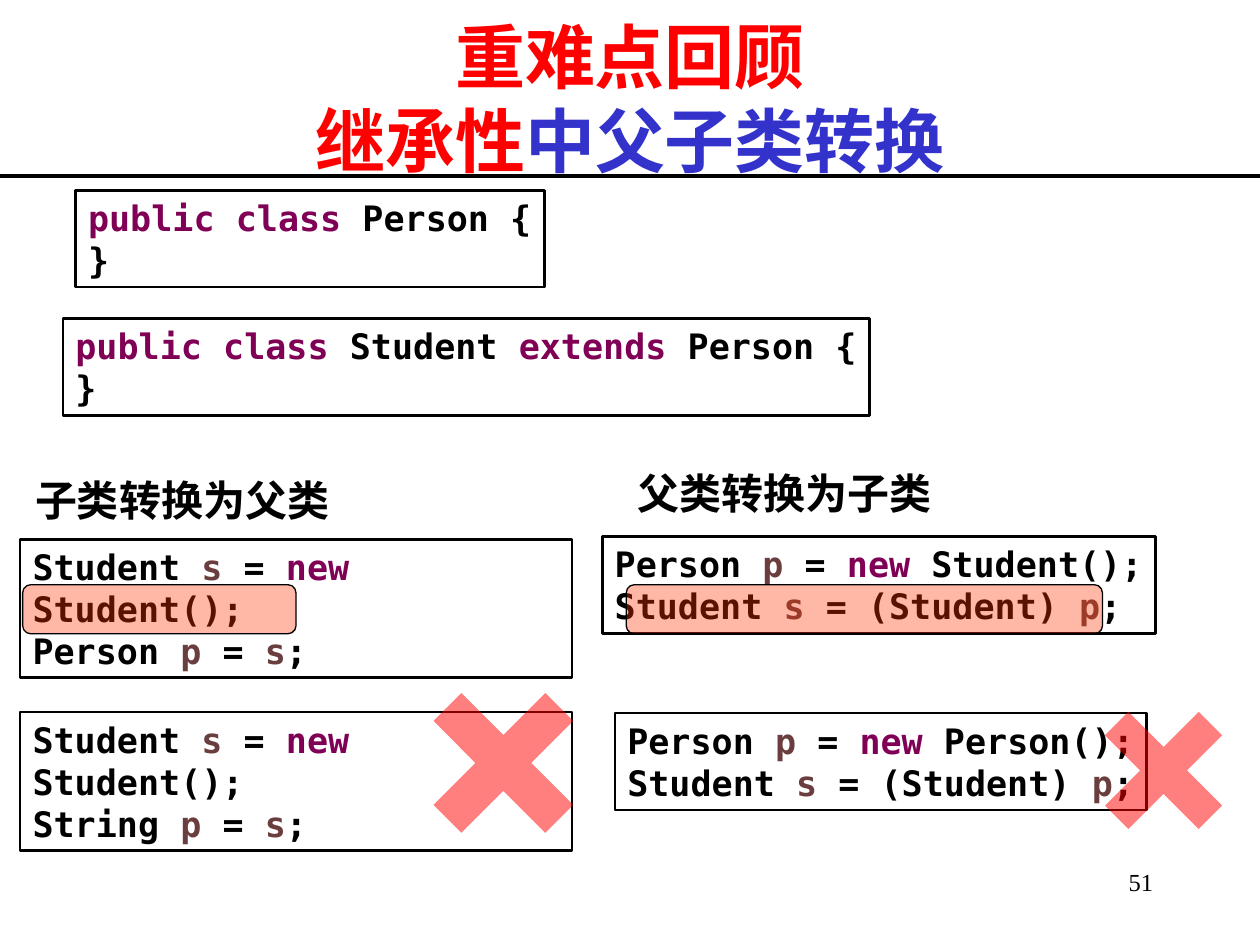
from itertools import groupby

from pptx import Presentation
from pptx import util as u
from pptx.dml.color import RGBColor
from pptx.enum import shapes, text
from pptx.oxml import xmlchemy as xml

COLORS = {
    "red": "FF0000", "blue": "3333CC", "black": "000000",
    "keyword": "7F0055", "variable": "6A3E3E", "mark": "FF3300",
}
TOKENS = {
    **dict.fromkeys(("public", "class", "extends", "new"), "keyword"),
    **dict.fromkeys(("p", "s"), "variable"),
}
SERIF, MONO = "Times New Roman", "DejaVu Sans Mono"


def color(name):
    """Return the named colour."""
    return RGBColor.from_string(COLORS[name])


def add_span(para, words, size=20, font=SERIF, bold=True, tint="black"):
    """Append formatted text to a paragraph."""
    span = para.add_run()
    span.text = words
    span.font.size = u.Pt(size)
    span.font.name = font
    span.font.bold = bold
    span.font.color.rgb = color(tint)


def fill_shape(shape, tint, alpha):
    """Give a shape a translucent fill and no shadow."""
    shape.shadow.inherit = False
    shape.fill.solid()
    shape.fill.fore_color.rgb = color(tint)
    choice = shape.fill._xPr.find(".//" + xml.qn("a:srgbClr"))
    choice.makeelement(xml.qn("a:alpha"), {})
    node = choice.makeelement(xml.qn("a:alpha"), {"val": str(alpha * 1000)})
    choice.append(node)


def add_label(page, box, words, align=text.PP_ALIGN.LEFT, wrap=False, **style):
    """Add a one-line text box."""
    label = page.shapes.add_textbox(*map(u.Inches, box))
    label.text_frame.word_wrap = wrap
    para = label.text_frame.paragraphs[0]
    para.alignment = align
    add_span(para, words, **style)


def add_title(page, box):
    """Add the two-line title and the rule beneath it."""
    title = page.shapes.add_textbox(*map(u.Inches, box))
    frame = title.text_frame
    frame.word_wrap = True
    frame.vertical_anchor = text.MSO_ANCHOR.MIDDLE
    para = frame.paragraphs[0]
    para.alignment = text.PP_ALIGN.CENTER
    add_span(para, "重难点回顾", size=40, tint="red")
    para.add_line_break()
    add_span(para, "继承性", size=40, tint="red")
    add_span(para, "中父子类转换", size=40, tint="blue")
    bottom = u.Inches(box[1] + box[3])
    rule = page.shapes.add_connector(
        shapes.MSO_CONNECTOR.STRAIGHT, 0, bottom, u.Inches(10), bottom)
    rule.line.color.rgb = color("black")
    rule.line.width = u.Pt(2.25)
    properties = rule._element.spPr
    properties.append(properties.makeelement(xml.qn("a:effectLst"), {}))


def add_code(page, box, lines, wrap=False):
    """Add a framed code listing with coloured tokens."""
    listing = page.shapes.add_shape(
        shapes.MSO_SHAPE.RECTANGLE, *map(u.Inches, box))
    listing.shadow.inherit = False
    listing.fill.background()
    listing.line.color.rgb = color("black")
    listing.line.width = u.Pt(1.5)
    frame = listing.text_frame
    frame.word_wrap = wrap
    frame.auto_size = text.MSO_AUTO_SIZE.SHAPE_TO_FIT_TEXT
    frame.vertical_anchor = text.MSO_ANCHOR.TOP
    for index, line in enumerate(lines):
        para = frame.add_paragraph() if index else frame.paragraphs[0]
        para.alignment = text.PP_ALIGN.LEFT
        for _, letters in groupby(line, str.isalnum):
            token = "".join(letters)
            add_span(para, token, font=MONO, tint=TOKENS.get(token, "black"))


def add_highlight(page, box):
    """Add a translucent rounded highlight."""
    mark = page.shapes.add_shape(
        shapes.MSO_SHAPE.ROUNDED_RECTANGLE, *map(u.Inches, box))
    fill_shape(mark, "mark", 35)
    mark.line.color.rgb = color("black")
    mark.line.width = u.Pt(0.75)


def add_cross(page, left, top, size):
    """Add a translucent diagonal cross built from four equal arms."""
    half = size / 2
    arm = 0.4 * half
    x, y = left + half, top + half
    quarter = [(half, half - arm), (arm, 0), (half, arm - half)]
    points = []
    for _ in range(4):
        points += [(u.Inches(x + a), u.Inches(y + b)) for a, b in quarter]
        quarter = [(b, -a) for a, b in quarter]
    builder = page.shapes.build_freeform(*points[0])
    builder.add_line_segments(points[1:], close=True)
    cross = builder.convert_to_shape()
    fill_shape(cross, "red", 50)
    cross.line.fill.background()


def add_classes(page):
    """Add the two class declarations."""
    add_code(page, (0.6, 1.51, 3.72, 0.77), ["public class Person {", "}"])
    add_code(page, (0.5, 2.53, 6.4, 0.77),
             ["public class Student extends Person {", "}"])


def add_upcasts(page, left):
    """Add the child-to-parent conversions."""
    create = "Student s = new Student();"
    add_code(page, (left, 4.28, 4.38, 1.1), [create, "Person p = s;"], wrap=True)
    add_highlight(page, (left + 0.02, 4.64, 2.17, 0.39))
    add_code(page, (left, 5.65, 4.38, 1.1), [create, "String p = s;"], wrap=True)
    add_cross(page, left + 3.28, 5.5, 1.11)
    add_label(page, (left + 0.02, 3.72, 2.53, 0.5), "子类转换为父类", size=24)


def add_downcasts(page, left):
    """Add the parent-to-child conversions."""
    cast = "Student s = (Student) p;"
    add_code(page, (left, 4.26, 4.39, 0.77), ["Person p = new Student();", cast])
    add_highlight(page, (left + 0.19, 4.64, 3.78, 0.39))
    add_code(page, (left + 0.1, 5.66, 4.22, 0.77),
             ["Person p = new Person();", cast])
    add_cross(page, left + 3.99, 5.65, 0.93)
    add_label(page, (left + 0.18, 3.66, 2.53, 0.5), "父类转换为子类", size=24)


def main():
    """Build and save the slide."""
    deck = Presentation()
    deck.slide_width, deck.slide_height = u.Inches(10), u.Inches(7.5)
    page = deck.slides.add_slide(deck.slide_layouts[6])
    add_label(page, (8.17, 6.83, 1.08, 0.5), "51", size=14, bold=False,
              align=text.PP_ALIGN.RIGHT, wrap=True)
    add_title(page, (0.75, 0.15, 8.5, 1.25))
    add_classes(page)
    add_upcasts(page, 0.16)
    add_downcasts(page, 4.78)
    deck.save("out.pptx")


if __name__ == "__main__":
    main()
